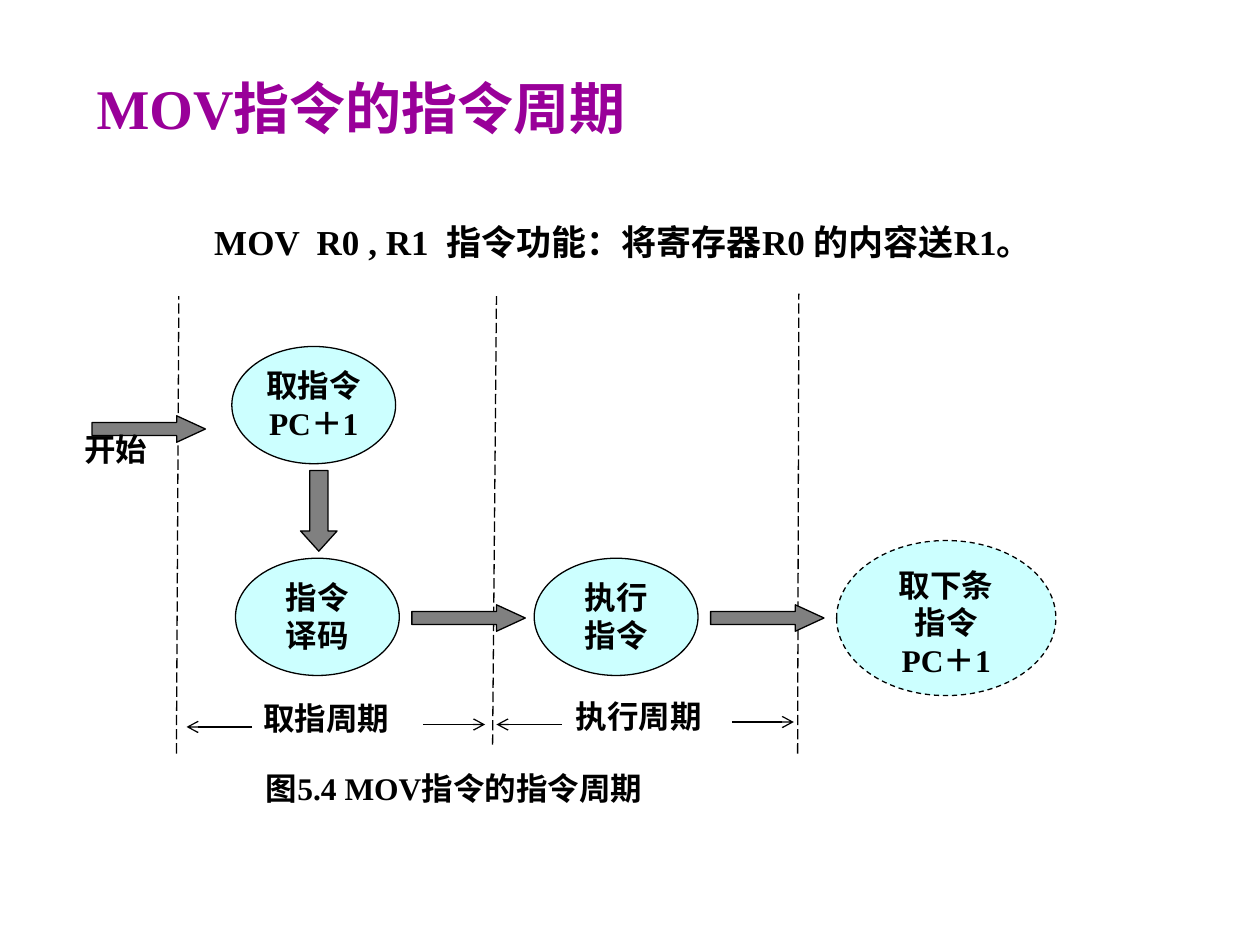
import pptx
import pptx.util
import pptx.dml.color
import pptx.enum.dml
import pptx.enum.shapes
import pptx.enum.text
import pptx.oxml.ns
from lxml import etree

Pt = pptx.util.Pt
SHAPES = pptx.enum.shapes.MSO_SHAPE
DASHES = pptx.enum.dml.MSO_LINE
ANCHORS = pptx.enum.text.MSO_ANCHOR
ALIGN = pptx.enum.text.PP_ALIGN

BLACK, PURPLE, CYAN, GRAY = "000000", "990099", "CCFFFF", "808080"
LABEL_FORMAT = {"name": "Times New Roman", "size": Pt(18), "bold": True}
NO_INSETS = (0, 0, 0, 0)

TEXTS = [
    ("MOV指令的指令周期", (48.2, 18, 612, 66.2), 32, PURPLE, (7.2, 3.6, 7.2, 3.6), ANCHORS.BOTTOM),
    ("MOV  R0 , R1  指令功能：将寄存器R0 的内容送R1。", (110.2, 122.4, 538.6, 31.7), 20, BLACK,
     (12.2, 3.6, 7.2, 3.6), ANCHORS.TOP),
    ("开始", (48.2, 245.5, 48.2, 31), 18, BLACK, NO_INSETS, ANCHORS.TOP),
    ("取指周期", (150.5, 399.6, 87.1, 28.1), 18, BLACK, NO_INSETS, ANCHORS.TOP),
    ("执行周期", (329, 398.2, 87.1, 28.1), 18, BLACK, NO_INSETS, ANCHORS.TOP),
    ("图5.4 MOV指令的指令周期", (151.9, 439.2, 318.2, 33.8), 18, BLACK, NO_INSETS, ANCHORS.TOP),
]
STAGE_SIZE = (93.6, 67)
STAGES = [
    (["取指令", "PC＋1"], (132.5, 198), STAGE_SIZE, DASHES.SOLID),
    (["指令", "译码"], (134.6, 319), STAGE_SIZE, DASHES.SOLID),
    (["执行", "指令"], (305.3, 319), STAGE_SIZE, DASHES.SOLID),
    (["取下条", "指令", "PC＋1"], (478.1, 308.9), (125.3, 88.6), DASHES.DASH),
]
FLOW_SIZE = (64.8, 15.1)
FLOW_ARROWS = [
    ((235.4, 345.6), FLOW_SIZE, 1.086, 0),
    ((406.1, 345.6), FLOW_SIZE, 1.086, 0),
    ((52.6, 237.6), FLOW_SIZE, 1.086, 0),
    ((159.1, 281.5), (46.1, 20.9), 0.553, 90),
]
DIVIDERS = [
    ((281.5, 425.5), (283.7, 169.2)),
    ((455.8, 430.6), (456.5, 167.8)),
    ((100.8, 430.6), (102.2, 169.2)),
]
SPAN_ARROWS = [
    ((418.3, 412.6), (453.6, 412.6)),
    ((321.1, 414), (283.7, 414)),
    ((241.9, 414), (277.2, 414)),
    ((144, 415.4), (106.6, 415.4)),
]


def color(value):
    return pptx.dml.color.RGBColor.from_string(value)


def set_attributes(target, values):
    for name, value in values.items():
        setattr(target, name, value)


def set_line(line, dash=DASHES.SOLID):
    line.color.rgb = color(BLACK)
    set_attributes(line, {"width": Pt(0.75), "dash_style": dash})


def write(frame, lines, insets, size=18, text_color=BLACK, alignment=ALIGN.LEFT, anchor=ANCHORS.TOP):
    sides = ("margin_left", "margin_top", "margin_right", "margin_bottom")
    set_attributes(frame, {side: Pt(inset) for side, inset in zip(sides, insets)})
    set_attributes(frame, {"word_wrap": True, "vertical_anchor": anchor})
    frame.text = "\n".join(lines)
    for paragraph in frame.paragraphs:
        paragraph.alignment = alignment
        set_attributes(paragraph.font, LABEL_FORMAT | {"size": Pt(size)})
        paragraph.font.color.rgb = color(text_color)


def add_filled(slide, kind, position, size, fill, dash=DASHES.SOLID):
    shape = slide.shapes.add_shape(kind, *map(Pt, position + size))
    shape.shadow.inherit = False
    shape.fill.solid()
    shape.fill.fore_color.rgb = color(fill)
    set_line(shape.line, dash)
    return shape


def add_line(slide, start, end, dash=DASHES.SOLID, arrow=False):
    connector = slide.shapes.add_connector(
        pptx.enum.shapes.MSO_CONNECTOR.STRAIGHT, *map(Pt, start + end))
    set_line(connector.line, dash)
    if arrow:
        line_element = connector.line._get_or_add_ln()
        etree.SubElement(line_element, pptx.oxml.ns.qn("a:tailEnd"), type="arrow")
    etree.SubElement(connector._element.spPr, pptx.oxml.ns.qn("a:effectLst"))


def main():
    presentation = pptx.Presentation()
    set_attributes(presentation, {"slide_width": Pt(720), "slide_height": Pt(540)})
    slide = presentation.slides.add_slide(presentation.slide_layouts[6])
    for lines, position, size, dash in STAGES:
        stage = add_filled(slide, SHAPES.OVAL, position, size, CYAN, dash)
        write(stage.text_frame, lines, (0, 1.4, 0, 0), alignment=ALIGN.CENTER)
    for start, end in DIVIDERS:
        add_line(slide, start, end, dash=DASHES.LONG_DASH)
    for position, size, head, rotation in FLOW_ARROWS:
        arrow = add_filled(slide, SHAPES.RIGHT_ARROW, position, size, GRAY)
        arrow.adjustments[1] = head
        arrow.rotation = rotation
    for text, box, size, text_color, insets, anchor in TEXTS:
        shape = slide.shapes.add_textbox(*map(Pt, box))
        write(shape.text_frame, [text], insets, size, text_color, anchor=anchor)
    for start, end in SPAN_ARROWS:
        add_line(slide, start, end, arrow=True)
    presentation.save("out.pptx")


if __name__ == "__main__":
    main()
